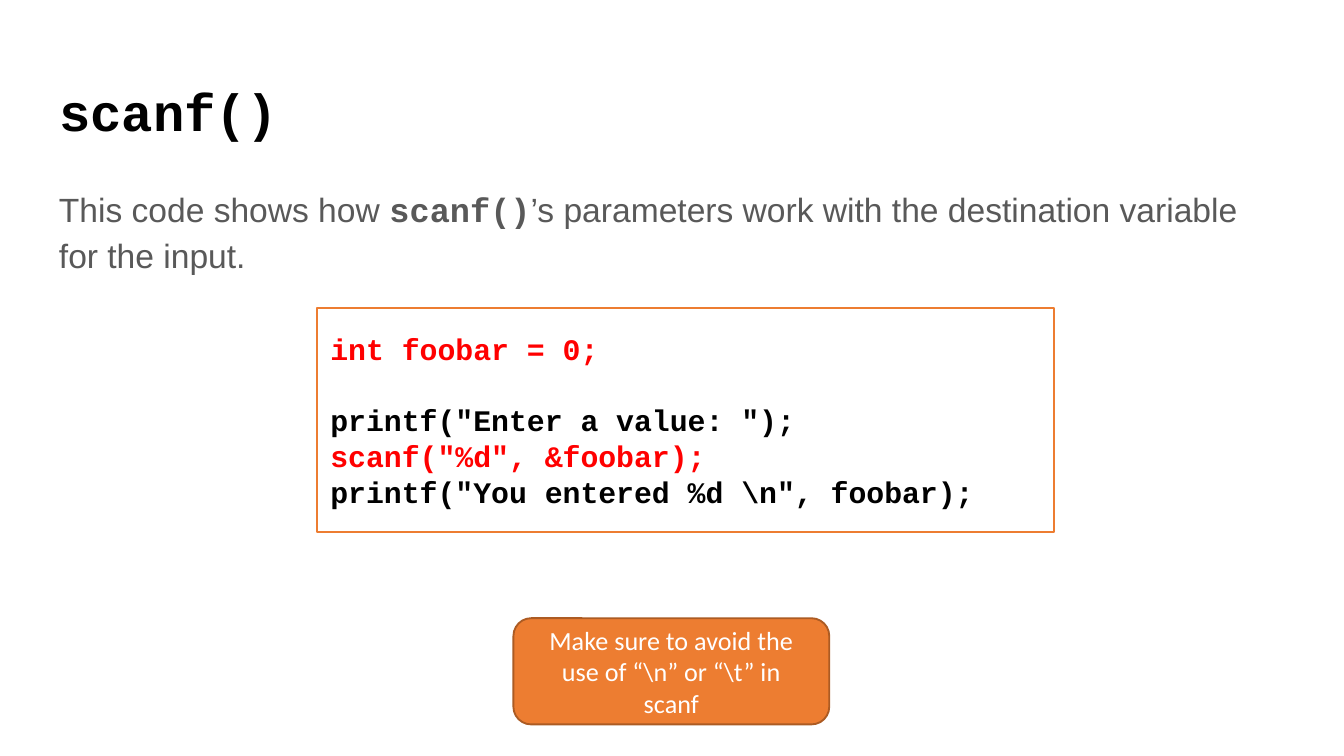
"""Build a slide explaining the parameters of scanf()."""
import pptx
import pptx.util
import pptx.dml.color
import pptx.enum.shapes
import pptx.enum.text

Inches, Pt = pptx.util.Inches, pptx.util.Pt
SHAPE = pptx.enum.shapes.MSO_SHAPE
ANCHOR = pptx.enum.text.MSO_ANCHOR
ALIGN = pptx.enum.text.PP_ALIGN


def rgb(value):
    return pptx.dml.color.RGBColor.from_string(value)


def add_run(p, text, color, **font):
    r = p.add_run()
    r.text = text
    r.font.color.rgb = rgb(color)
    for name, value in font.items():
        setattr(r.font, name, value)


prs = pptx.Presentation()
prs.slide_width = Inches(10)
prs.slide_height = prs.slide_width * 9 // 16
s = prs.slides.add_slide(prs.slide_layouts[5])

title = s.shapes.title
body = s.shapes.add_textbox(0, 0, 0, 0)
code = s.shapes.add_shape(SHAPE.RECTANGLE, 0, 0, 0, 0)
tip = s.shapes.add_shape(SHAPE.ROUNDED_RECTANGLE, 0, 0, 0, 0)

layout = [
    (title, (0.34, 0.49, 9.32, 0.63), 0.1, ANCHOR.TOP),
    (body, (0.34, 1.26, 9.32, 3.74), 0.1, ANCHOR.TOP),
    (code, (2.36, 2.29, 5.48, 1.67), 0.05, ANCHOR.MIDDLE),
    (tip, (3.82, 4.6, 2.35, 0.79), 0.05, ANCHOR.MIDDLE),
]
for sp, box, inset, anchor in layout:
    sp.left, sp.top, sp.width, sp.height = map(Inches, box)
    tf = sp.text_frame
    frame = {
        "word_wrap": True,
        "auto_size": pptx.enum.text.MSO_AUTO_SIZE.NONE,
        "vertical_anchor": anchor,
        "margin_left": Inches(0.1),
        "margin_right": Inches(0.1),
        "margin_top": Inches(inset),
        "margin_bottom": Inches(inset),
    }
    for name, value in frame.items():
        setattr(tf, name, value)
    tf.paragraphs[0].alignment = ALIGN.LEFT

mono = {"name": "Courier New", "bold": True}
sans = {"name": "Arial", "bold": False}

add_run(title.text_frame.paragraphs[0], "scanf()", "000000", size=Pt(28), **mono)

p = body.text_frame.paragraphs[0]
p.line_spacing, p.space_after = 1.15, Pt(16)
for text, font in [
    ("This code shows how ", sans),
    ("scanf()", mono),
    ("’s parameters work with the destination variable for the input.", sans),
]:
    add_run(p, text, "595959", size=Pt(18), **font)

for sp, line in [(code, "ED7D31"), (tip, "AC5B23")]:
    sp.shadow.inherit = False
    sp.line.color.rgb = rgb(line)
    sp.line.width = Pt(1)
code.fill.background()
tip.fill.solid()
tip.fill.fore_color.rgb = rgb("ED7D31")

tf = code.text_frame
for i, (text, color) in enumerate([
    ("int foobar = 0;", "FF0000"),
    ('printf("Enter a value: ");', "000000"),
    ('scanf("%d", &foobar);', "FF0000"),
    ('printf("You entered %d \\n", foobar);', "000000"),
]):
    p = tf.add_paragraph() if i else tf.paragraphs[0]
    p.alignment = ALIGN.LEFT
    p.space_after = Pt(0 if i else 19)
    add_run(p, text, color, size=Pt(16), **mono)

p = tip.text_frame.paragraphs[0]
p.alignment = ALIGN.CENTER
add_run(p, "Make sure to avoid the use of “\\n” or “\\t” in scanf", "FFFFFF",
        size=Pt(14), name="Calibri")

prs.save("out.pptx")
